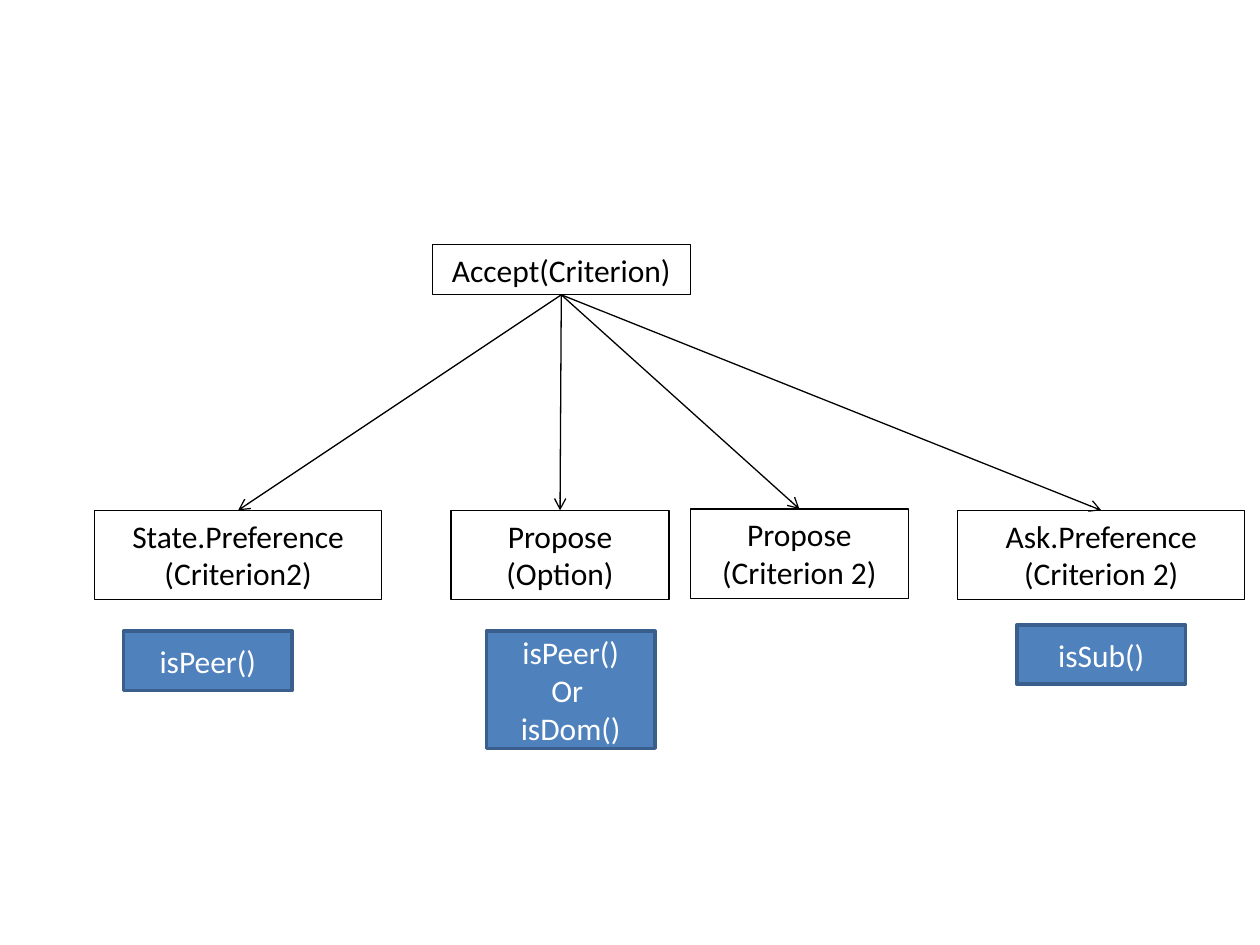
from dataclasses import dataclass
from typing import Optional

from lxml.etree import SubElement
from pptx import Presentation
from pptx.dml.color import RGBColor
from pptx.enum.shapes import MSO_CONNECTOR, MSO_SHAPE
from pptx.enum.text import MSO_ANCHOR, PP_ALIGN
from pptx.oxml.ns import qn
from pptx.util import Inches, Pt

CELL = 0.1
COLUMNS, ROWS = 100, 75
BLACK = "000000"


@dataclass(frozen=True)
class Style:
    fill: Optional[str]
    line: str
    weight: float
    text: str
    anchor: MSO_ANCHOR


@dataclass(frozen=True)
class Box:
    lines: tuple[str, ...]
    column: float
    row: float
    width: float
    height: float
    style: Style


MOVE = Style(None, BLACK, 0.75, BLACK, MSO_ANCHOR.TOP)
CONDITION = Style("4F81BD", "3A5F8C", 2, "FFFFFF", MSO_ANCHOR.MIDDLE)

ROOT = Box(("Accept(Criterion)",), 34.3, 19.4, 20.5, 4, MOVE)
REPLIES = (
    Box(("State.Preference", "(Criterion2)"), 7.5, 40.5, 22.8, 7.1, MOVE),
    Box(("Propose (Option)",), 35.8, 40.5, 17.3, 7.1, MOVE),
    Box(("Propose (Criterion 2)",), 54.8, 40.4, 17.3, 7.1, MOVE),
    Box(("Ask.Preference", "(Criterion 2)"), 76, 40.5, 22.8, 7.1, MOVE),
)
CONDITIONS = (
    Box(("isPeer()",), 9.8, 50.1, 13.4, 4.7, CONDITION),
    Box(("isPeer()", "Or ", "isDom()"), 38.6, 50.1, 13.4, 9.3, CONDITION),
    Box(("isSub()",), 80.7, 49.6, 13.4, 4.7, CONDITION),
)


def cells(count: float) -> int:
    return Inches(count * CELL)


def colour(code: str) -> RGBColor:
    return RGBColor.from_string(code)


def draw_box(page, box: Box):
    style = box.style
    shape = page.shapes.add_shape(
        MSO_SHAPE.RECTANGLE,
        cells(box.column), cells(box.row), cells(box.width), cells(box.height),
    )
    shape.shadow.inherit = False
    if style.fill:
        shape.fill.solid()
        shape.fill.fore_color.rgb = colour(style.fill)
    else:
        shape.fill.background()
    shape.line.color.rgb = colour(style.line)
    shape.line.width = Pt(style.weight)
    frame = shape.text_frame
    frame.word_wrap = True
    frame.vertical_anchor = style.anchor
    for index, line in enumerate(box.lines):
        para = frame.add_paragraph() if index else frame.paragraphs[0]
        para.text = line
        para.alignment = PP_ALIGN.CENTER
        para.font.name = "Calibri"
        para.font.size = Pt(18)
        para.font.color.rgb = colour(style.text)
    return shape


def draw_arrow(page, source, target) -> None:
    arrow = page.shapes.add_connector(MSO_CONNECTOR.STRAIGHT, 0, 0, 0, 0)
    arrow.begin_connect(source, 2)
    arrow.end_connect(target, 0)
    arrow.line.color.rgb = colour(BLACK)
    arrow.line.width = Pt(0.75)
    SubElement(arrow.line._get_or_add_ln(), qn("a:tailEnd"), type="arrow")
    SubElement(arrow._element.spPr, qn("a:effectLst"))


def main() -> None:
    deck = Presentation()
    deck.slide_width, deck.slide_height = cells(COLUMNS), cells(ROWS)
    page = deck.slides.add_slide(deck.slide_layouts[6])
    root = draw_box(page, ROOT)
    for reply in REPLIES:
        draw_arrow(page, root, draw_box(page, reply))
    for condition in CONDITIONS:
        draw_box(page, condition)
    deck.save("out.pptx")


main()
